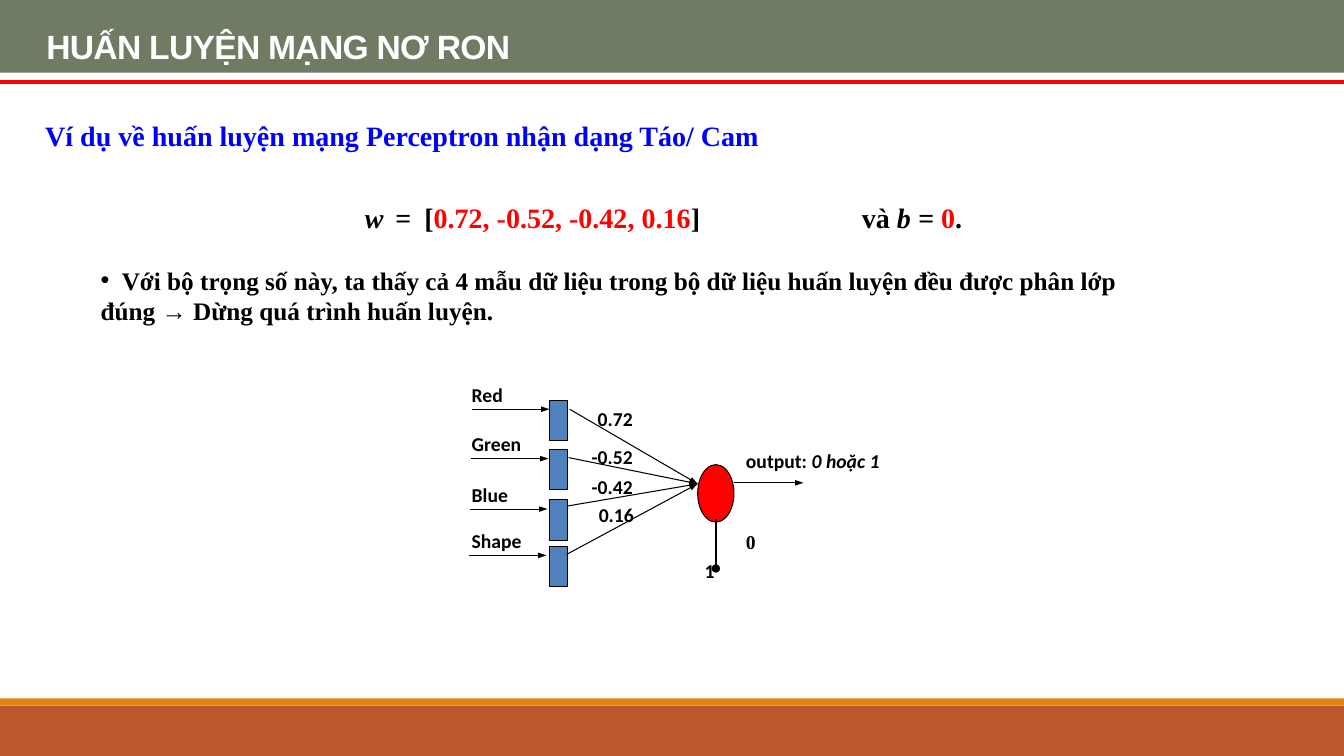
from lxml.etree import SubElement
from pptx import Presentation
from pptx.dml.color import RGBColor
from pptx.enum.shapes import MSO_CONNECTOR, MSO_SHAPE
from pptx.enum.text import MSO_ANCHOR, MSO_AUTO_SIZE, PP_ALIGN
from pptx.oxml.ns import qn
from pptx.util import Inches, Pt

BLACK = RGBColor(0, 0, 0)
WHITE = RGBColor(255, 255, 255)
RED = RGBColor(255, 0, 0)
BLUE = RGBColor(0, 0, 255)
STEEL = RGBColor(0x4F, 0x81, 0xBD)
SAGE = RGBColor(0x6F, 0x7B, 0x63)
RUST = RGBColor(0xBD, 0x58, 0x2C)
AMBER = RGBColor(0xE4, 0x83, 0x12)

SERIF = "Times New Roman"
SANS = "Calibri"
WIDE = 13.33

# name, wire height, weight, weight left, weight top
INPUTS = [
    ("Red", 4.06, "0.72", 5.83, 4.04),
    ("Green", 4.55, "-0.52", 5.77, 4.41),
    ("Blue", 5.05, "-0.42", 5.77, 4.71),
    ("Shape", 5.51, "0.16", 5.84, 4.99),
]


def add_run(para, text, size, face, color=BLACK, italic=False):
    run = para.add_run()
    run.text = text
    font = run.font
    font.size, font.name, font.bold, font.italic = Pt(size), face, True, italic
    font.color.rgb = color
    return run


def add_text(slide, box, runs, size, face, pad=0.05):
    """Add a text box of (text, colour, italic) runs; return its paragraph."""
    frame = slide.shapes.add_textbox(*map(Inches, box)).text_frame
    frame.word_wrap = True
    frame.margin_top = frame.margin_bottom = Inches(pad)
    para = frame.paragraphs[0]
    for text, color, italic in runs:
        add_run(para, text, size, face, color, italic)
    return para


def add_tabs(para, stops, bullet=None):
    props = para._p.get_or_add_pPr()
    if bullet:
        props.set("marL", "0")
        props.set("indent", "0")
        SubElement(props, qn("a:buFont"), typeface="Arial")
        SubElement(props, qn("a:buChar"), char=bullet)
    tabs = SubElement(props, qn("a:tabLst"))
    for stop in stops:
        SubElement(tabs, qn("a:tab"), pos=str(Inches(stop)), algn="l")


def add_block(slide, kind, box, fill, edge=None):
    block = slide.shapes.add_shape(kind, *map(Inches, box))
    block.shadow.inherit = False
    block.fill.solid()
    block.fill.fore_color.rgb = fill
    if edge is None:
        block.line.fill.background()
    else:
        block.line.color.rgb = edge
        block.line.width = Pt(0.75)


def add_line(slide, start, end, color=BLACK, width=0.75, tip=None, span="sm"):
    line = slide.shapes.add_connector(
        MSO_CONNECTOR.STRAIGHT, *map(Inches, (*start, *end)))
    line.line.color.rgb = color
    line.line.width = Pt(width)
    if tip:
        SubElement(line.line._get_or_add_ln(), qn("a:tailEnd"),
                   type=tip, w=span, len="med")
    SubElement(line._element.spPr, qn("a:effectLst"))


def add_title(slide, text):
    title = slide.shapes.title
    title.left, title.top = Inches(0), Inches(0)
    title.width, title.height = Inches(WIDE), Inches(0.72)
    title.fill.solid()
    title.fill.fore_color.rgb = SAGE
    frame = title.text_frame
    frame.auto_size = MSO_AUTO_SIZE.NONE
    frame.vertical_anchor = MSO_ANCHOR.MIDDLE
    frame.margin_left = Inches(0.46)
    para = frame.paragraphs[0]
    para.alignment = PP_ALIGN.LEFT
    para.line_spacing = 1.5
    run = add_run(para, text, 24, "Arial", WHITE)
    run.font._element.set("spc", "-50")


def add_label(slide, box, text, face=SANS, pad=0.0):
    add_text(slide, box, [(text, BLACK, False)], 14, face, pad)


def add_net(slide):
    for row, (name, wire, weight, left, top) in enumerate(INPUTS):
        start = 4.68 - 0.01 * row
        add_block(slide, MSO_SHAPE.RECTANGLE, (5.45, wire - 0.09, 0.18, 0.4),
                  STEEL, BLACK)
        add_label(slide, (4.58, wire - 0.31, 1.01, 0.34), name, pad=0.05)
        add_line(slide, (start, wire), (start + 0.77, wire), tip="triangle")
        add_line(slide, (5.65 - 0.01 * row, 4.06 + 0.48 * row), (6.92, 4.8),
                 tip="triangle")
        add_label(slide, (left, top, 0.78, 0.33), weight)
    add_block(slide, MSO_SHAPE.OVAL, (6.92, 4.61, 0.36, 0.57), RED, BLACK)
    add_line(slide, (7.28, 4.79), (7.97, 4.79), tip="triangle")
    add_line(slide, (7.1, 5.15), (7.1, 5.64), width=1, tip="oval", span="med")
    add_text(slide, (7.3, 4.4, 1.87, 0.34),
             [("output: ", BLACK, False), ("0 hoặc 1", BLACK, True)], 14, SANS)
    add_label(slide, (6.89, 5.54, 0.62, 0.33), "1")
    add_label(slide, (7.3, 5.26, 0.53, 0.32), "0", SERIF)


def main():
    deck = Presentation()
    deck.slide_width, deck.slide_height = Inches(WIDE), Inches(7.5)
    slide = deck.slides.add_slide(deck.slide_layouts[5])
    add_block(slide, MSO_SHAPE.RECTANGLE, (0, 7, WIDE, 0.5), RUST)
    add_block(slide, MSO_SHAPE.RECTANGLE, (0, 6.93, WIDE, 0.07), AMBER)
    add_title(slide, "HUẤN LUYỆN MẠNG NƠ RON")
    add_line(slide, (0, 0.81), (WIDE, 0.81), RED, 3)
    add_text(slide, (0.35, 1.13, 8.47, 0.44),
             [("Ví dụ về huấn luyện mạng Perceptron nhận dạng Táo/ Cam",
               BLUE, False)], 20, SERIF)
    rule = add_text(slide, (3.52, 1.94, 7.48, 0.44), [
        ("w\t=\t", BLACK, True), ("[", BLACK, False),
        ("0.72, -0.52, -0.42, 0.16", RED, False), ("]\tvà ", BLACK, False),
        ("b = ", BLACK, True), ("0", RED, False), (".", BLACK, False),
    ], 20, SERIF)
    add_tabs(rule, (0.3, 0.59, 4.93))
    note = add_text(slide, (0.9, 2.58, 10.52, 0.71), [
        ("\tVới bộ trọng số này, ta thấy cả 4 mẫu dữ liệu trong bộ dữ liệu "
         "huấn luyện đều được phân lớp đúng → Dừng quá trình huấn luyện.",
         BLACK, False)], 18, SERIF)
    add_tabs(note, (0.21,), "•")
    add_net(slide)
    deck.save("out.pptx")


if __name__ == "__main__":
    main()
